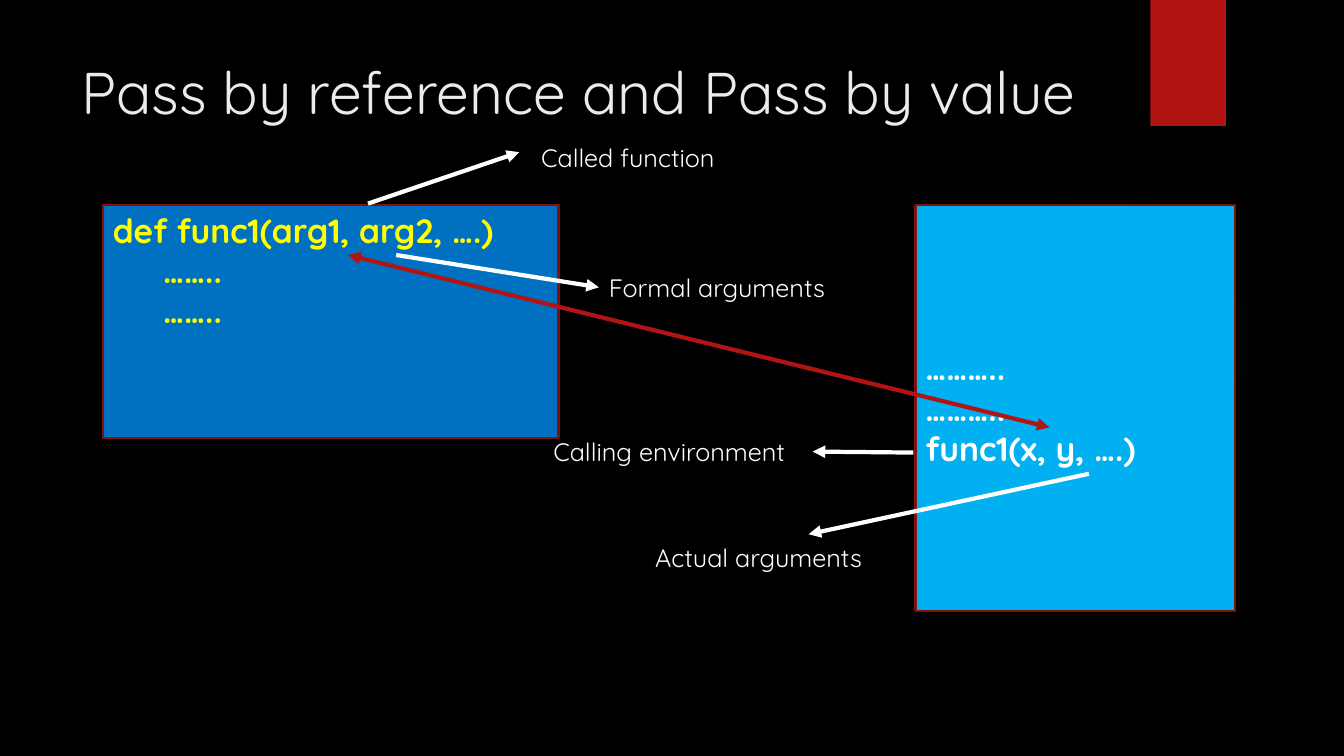
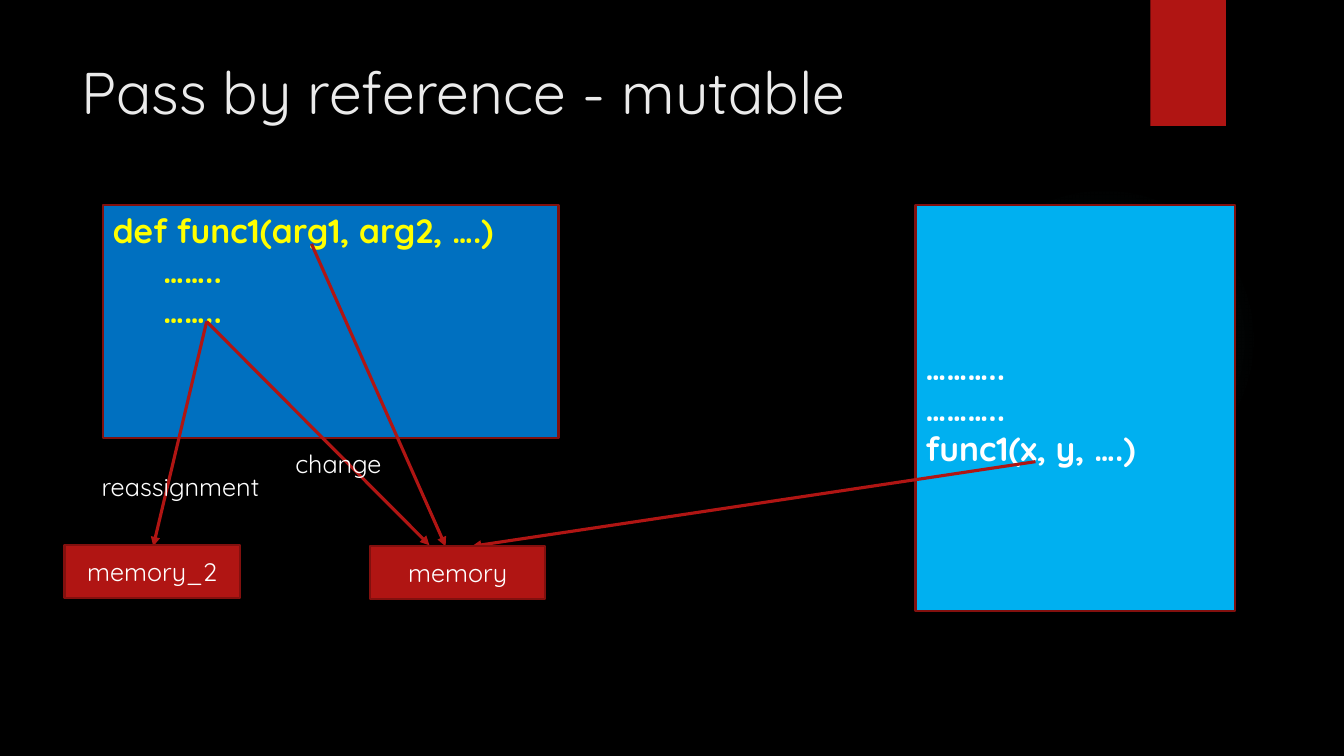
from lxml import etree
from pptx import Presentation
from pptx.dml.color import RGBColor
from pptx.enum.shapes import MSO_CONNECTOR as CONNECTOR, MSO_SHAPE as SHAPE
from pptx.enum.text import MSO_ANCHOR as ANCHOR, PP_ALIGN as ALIGN
from pptx.oxml import parse_xml
from pptx.oxml.ns import nsdecls, qn
from pptx.util import Inches, Pt

FONT = "Quicksand"
BLACK, WHITE, TITLE = "000000", "FFFFFF", "EBEBEB"
RED, DARK_RED = "B01513", "82100E"
BLUE, SKY, YELLOW, TEAL = "0070C0", "00B0F0", "FFFF00", "50B9C1"
GLOW_STOPS = ((0, 7), (36, 6), (69, 0))  # position and opacity, in percent


def paint(color_format, color):
    color_format.rgb = RGBColor.from_string(color)


def write(frame, lines, size, color, bold=False, align=ALIGN.LEFT,
          anchor=ANCHOR.TOP):
    """Fill a text frame with one paragraph per (text, indent in inches)."""
    frame.word_wrap = True
    frame.vertical_anchor = anchor
    for i, (text, indent) in enumerate(lines):
        para = frame.add_paragraph() if i else frame.paragraphs[0]
        para.alignment = align
        if indent:
            para._p.get_or_add_pPr().set("marL", str(Inches(indent)))
        span = para.add_run()
        span.text = text
        span.font.name, span.font.size, span.font.bold = FONT, Pt(size), bold
        paint(span.font.color, color)


def add_block(page, left, top, width, height, fill, line=None,
              kind=SHAPE.RECTANGLE):
    block = page.shapes.add_shape(kind, Inches(left), Inches(top),
                                  Inches(width), Inches(height))
    block.shadow.inherit = False
    block.fill.solid()
    paint(block.fill.fore_color, fill)
    if line:
        paint(block.line.color, line)
        block.line.width = Pt(1.5)
    else:
        block.line.fill.background()
    return block


def add_text(page, text, left, top, width, height=0.4, size=18, color=WHITE):
    box = page.shapes.add_textbox(Inches(left), Inches(top),
                                  Inches(width), Inches(height))
    write(box.text_frame, [(text, 0)], size, color)


def add_arrow(page, start, end, color, width, both_ends=False):
    x1, y1, x2, y2 = (Inches(v) for v in (*start, *end))
    arrow = page.shapes.add_connector(CONNECTOR.STRAIGHT, x1, y1, x2, y2)
    paint(arrow.line.color, color)
    arrow.line.width = Pt(width)
    outline = arrow.line._get_or_add_ln()
    for tag in ("a:headEnd", "a:tailEnd") if both_ends else ("a:tailEnd",):
        etree.SubElement(outline, qn(tag)).set("type", "triangle")
    etree.SubElement(arrow._element.spPr, qn("a:effectLst"))


def add_glow(page):
    """Add the faint round light behind the content."""
    glow = add_block(page, 9.41, 1.83, 3.08, 3.08, TEAL, kind=SHAPE.OVAL)
    stops = "".join(
        f'<a:gs pos="{pos * 1000}"><a:srgbClr val="{TEAL}">'
        f'<a:alpha val="{alpha * 1000}"/></a:srgbClr></a:gs>'
        for pos, alpha in GLOW_STOPS)
    gradient = parse_xml(
        f'<a:gradFill {nsdecls("a")}><a:gsLst>{stops}</a:gsLst>'
        '<a:path path="circle"><a:fillToRect l="50000" t="50000" r="50000" '
        'b="50000"/></a:path></a:gradFill>')
    props = glow._element.spPr
    props.replace(props.find(qn("a:solidFill")), gradient)


def add_page(deck, title):
    """Add a slide with the shared frame and the two code blocks."""
    page = deck.slides.add_slide(deck.slide_layouts[6])
    page.background.fill.solid()
    paint(page.background.fill.fore_color, BLACK)
    add_glow(page)
    add_block(page, 11.41, 0, 0.75, 1.25, RED)
    add_text(page, title, 0.71, 0.5, 10.98, 1.53, 42, TITLE)

    called = add_block(page, 1.02, 2.03, 4.52, 2.32, BLUE, DARK_RED)
    write(called.text_frame,
          [("def func1(arg1, arg2, ….)", 0), ("……..", 0.5), ("……..", 0.5)],
          24, YELLOW, bold=True)
    calling = add_block(page, 9.08, 2.03, 3.17, 4.03, SKY, DARK_RED)
    write(calling.text_frame,
          [("………..", 0), ("………..", 0), ("func1(x, y, ….)", 0)],
          24, WHITE, bold=True, anchor=ANCHOR.MIDDLE)
    return page


def add_memory(page, name, left, top):
    cell = add_block(page, left, top, 1.74, 0.52, RED, DARK_RED)
    write(cell.text_frame, [(name, 0)], 18, WHITE, align=ALIGN.CENTER,
          anchor=ANCHOR.MIDDLE)


def build_argument_terms(deck):
    page = add_page(deck, "Pass by reference and Pass by value")
    terms = [
        ("Called function", (5.27, 1.36, 2.1), (3.65, 2.02), (5.15, 1.51)),
        ("Calling environment", (5.39, 4.28, 2.67), (9.06, 4.49), (8.06, 4.48)),
        ("Formal arguments", (5.94, 2.65, 2.41), (3.93, 2.53), (5.94, 2.85)),
        ("Actual arguments", (6.4, 5.33, 2.4), (10.8, 4.7), (8.02, 5.3)),
    ]
    for text, place, start, end in terms:
        add_arrow(page, start, end, WHITE, 3)
        add_text(page, text, *place)
    add_arrow(page, (3.45, 2.53), (10.41, 4.24), RED, 3, both_ends=True)


def build_mutable(deck):
    page = add_page(deck, "Pass by reference - mutable")
    body = (2.05, 3.19)
    references = [
        ((3.09, 2.42), (4.42, 5.42)),
        ((10.27, 4.58), (4.68, 5.42)),
        (body, (1.52, 5.42)),
        (body, (4.26, 5.41)),
    ]
    for start, end in references:
        add_arrow(page, start, end, RED, 2.25)
    add_memory(page, "memory", 3.67, 5.42)
    add_memory(page, "memory_2", 0.64, 5.41)
    add_text(page, "reassignment", 0.91, 4.63, 1.83)
    add_text(page, "change", 2.83, 4.4, 1.18)


def main():
    deck = Presentation()
    deck.slide_width, deck.slide_height = Inches(13.33), Inches(7.5)
    build_argument_terms(deck)
    build_mutable(deck)
    deck.save("out.pptx")


if __name__ == "__main__":
    main()
